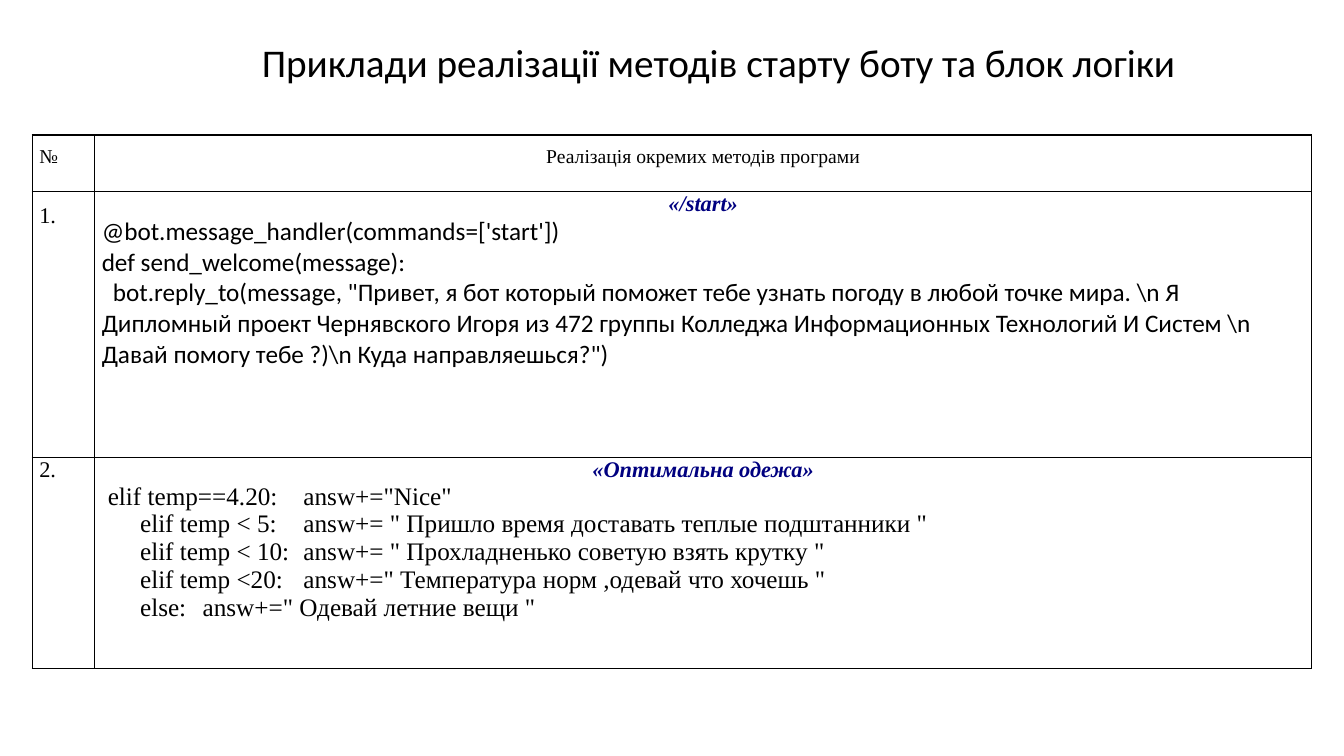
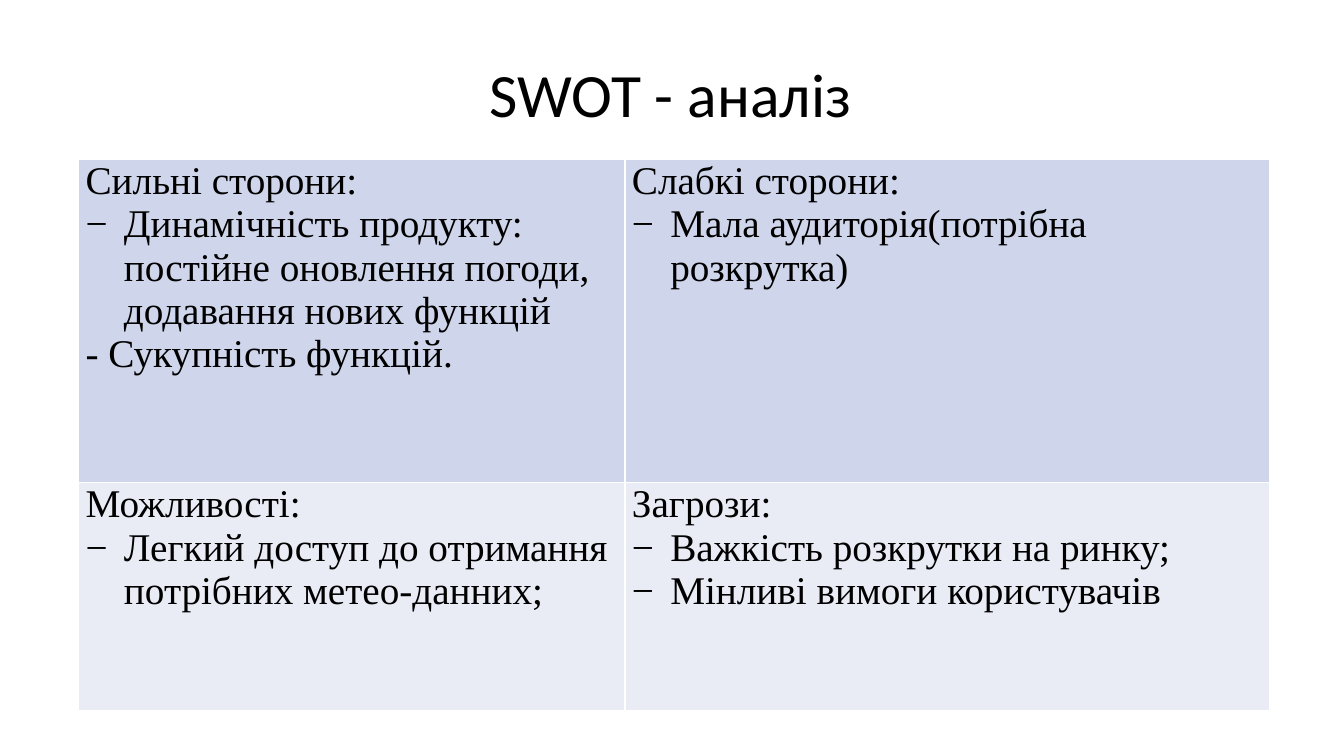
from dataclasses import dataclass

from lxml import etree
from pptx import Presentation
from pptx.dml.color import RGBColor
from pptx.enum.text import MSO_ANCHOR, MSO_AUTO_SIZE, PP_ALIGN
from pptx.oxml.ns import qn
from pptx.util import Inches, Pt

LEFT, CENTER, JUSTIFY = PP_ALIGN.LEFT, PP_ALIGN.CENTER, PP_ALIGN.JUSTIFY
MIDDLE = MSO_ANCHOR.MIDDLE
NO_FIT = MSO_AUTO_SIZE.NONE
TITLE_ONLY = 5
SANS, SERIF = "Calibri", "Times New Roman"
COLORS = {
    "text": "000000",
    "white": "FFFFFF",
    "command": "000080",
    "swot_top": "CFD5EA",
    "swot_bottom": "E9EBF5",
}


@dataclass
class Line:
    text: str
    size: float = 18
    font: str = SERIF
    color: str = "text"
    accent: bool = False
    align: int = LEFT
    spacing: float = 1.0
    margin: float = 0
    indent: float = 0
    bullet: str = ""
    tab: float = 0


class Deck:
    def __init__(self, width, height):
        self.prs = Presentation()
        self.prs.slide_width = Inches(width)
        self.prs.slide_height = Inches(height)
        self.slide = None

    def x(self, percent):
        return round(self.prs.slide_width * percent / 100)

    def y(self, percent):
        return round(self.prs.slide_height * percent / 100)

    def add_slide(self):
        self.slide = self.prs.slides.add_slide(self.prs.slide_layouts[TITLE_ONLY])

    def title(self, line, left, top, width, height):
        heading = self.slide.shapes.title
        heading.left, heading.top = self.x(left), self.y(top)
        heading.width, heading.height = self.x(width), self.y(height)
        frame = heading.text_frame
        frame.word_wrap = True
        frame.auto_size = NO_FIT
        frame.vertical_anchor = MIDDLE
        self.set_lines(frame, [line])

    def set_lines(self, frame, lines):
        for number, line in enumerate(lines):
            paragraph = frame.add_paragraph() if number else frame.paragraphs[0]
            paragraph.text = line.text
            paragraph.alignment = line.align
            paragraph.line_spacing = line.spacing
            self.indent(paragraph, line)
            for run in paragraph.runs:
                run.font.name = line.font
                run.font.size = Pt(line.size)
                run.font.bold = run.font.italic = line.accent
                run.font.color.rgb = RGBColor.from_string(COLORS[line.color])

    def indent(self, paragraph, line):
        props = paragraph._p.get_or_add_pPr()
        props.set("marL", str(Inches(line.margin)))
        props.set("indent", str(Inches(line.indent)))
        if line.bullet:
            etree.SubElement(props, qn("a:buFont"), typeface=SERIF)
            etree.SubElement(props, qn("a:buChar"), char=line.bullet)
        else:
            etree.SubElement(props, qn("a:buNone"))
        if line.tab:
            stops = etree.SubElement(props, qn("a:tabLst"))
            etree.SubElement(stops, qn("a:tab"), pos=str(Inches(line.tab)), algn="l")

    def border(self, cell, color):
        props = cell._tc.get_or_add_tcPr()
        for side in ("lnL", "lnR", "lnT", "lnB"):
            edge = etree.SubElement(props, qn("a:" + side), w=str(Pt(1)))
            paint = etree.SubElement(edge, qn("a:solidFill"))
            etree.SubElement(paint, qn("a:srgbClr"), val=COLORS[color])

    def table(self, left, top, columns, rows, cells, fills, border):
        table = self.slide.shapes.add_table(
            len(rows), len(columns), self.x(left), self.y(top),
            self.x(sum(columns)), self.y(sum(rows))).table
        table.first_row = table.horz_banding = False
        for column, width in zip(table.columns, columns):
            column.width = self.x(width)
        for row, height, contents, fill in zip(table.rows, rows, cells, fills):
            row.height = self.y(height)
            for cell, lines in zip(row.cells, contents):
                cell.margin_left = cell.margin_right = Inches(0.07)
                cell.margin_top = cell.margin_bottom = 0
                self.border(cell, border)
                cell.fill.solid()
                cell.fill.fore_color.rgb = RGBColor.from_string(COLORS[fill])
                self.set_lines(cell.text_frame, lines)


def command(text):
    return Line(text, size=16, color="command", accent=True, align=CENTER)


def handler(text, indent=0):
    return Line(text, font=SANS, indent=indent)


def branch(condition, answer, indent=0.38):
    return Line(f"{condition}\t{answer}", indent=indent, tab=2.29)


def swot(heading, *points):
    return [Line(heading, size=28)] + [
        Line(point, size=28, margin=0.38, indent=-0.38, bullet="−") for point in points]


deck = Deck(13.33, 7.5)

deck.add_slide()
deck.title(
    Line("Приклади реалізації методів старту боту та блок логіки",
         size=28, font=SANS, align=CENTER, spacing=0.9),
    6.9, 2.13, 93.1, 12.93)
methods = [
    [[Line("№", size=14, align=JUSTIFY, spacing=1.5)],
     [Line("Реалізація окремих методів програми", size=14, align=CENTER, spacing=1.5)]],
    [[Line("1.", size=16, align=JUSTIFY, spacing=1.5)],
     [command("«/start»"),
      handler("@bot.message_handler(commands=['start'])"),
      handler("def send_welcome(message):"),
      handler("bot.reply_to(message, \"Привет, я бот который поможет тебе узнать погоду "
              "в любой точке мира. \\n Я Дипломный проект Чернявского Игоря из 472 группы "
              "Колледжа Информационных Технологий И Систем \\n Давай помогу тебе ?)"
              "\\n Куда направляешься?\")", indent=0.11)]],
    [[Line("2.", size=16)],
     [command("«Оптимальна одежа»"),
      branch("elif temp==4.20:", "answ+=\"Nice\"", indent=0.06),
      branch("elif temp < 5:", "answ+= \" Пришло время доставать теплые подштанники \""),
      branch("elif temp < 10:", "answ+= \" Прохладненько советую взять крутку \""),
      branch("elif temp <20:", "answ+=\" Температура норм ,одевай что хочешь \""),
      branch("else:", "answ+=\" Одевай летние вещи \"")]],
]
deck.table(2.4, 17.87, [4.65, 90.55], [7.47, 35.2, 27.87], methods,
           ["white"] * 3, "text")

deck.add_slide()
deck.title(Line("SWOT - аналіз", size=44, font=SANS, spacing=0.9),
           35.7, 2.13, 78.75, 21.6)
strengths = swot(
    "Сильні сторони:",
    "Динамічність продукту: постійне оновлення погоди, додавання нових функцій")
strengths.append(Line("- Сукупність функцій.", size=28))
weaknesses = swot("Слабкі сторони:", "Мала аудиторія(потрібна розкрутка)")
opportunities = swot("Можливості:", "Легкий доступ до отримання потрібних метео-данних;")
threats = swot("Загрози:", "Важкість розкрутки на ринку;", "Мінливі вимоги користувачів")
deck.table(5.85, 21.07, [40.65, 48], [42.8, 30.13],
           [[strengths, weaknesses], [opportunities, threats]],
           ["swot_top", "swot_bottom"], "white")

deck.prs.save("out.pptx")
